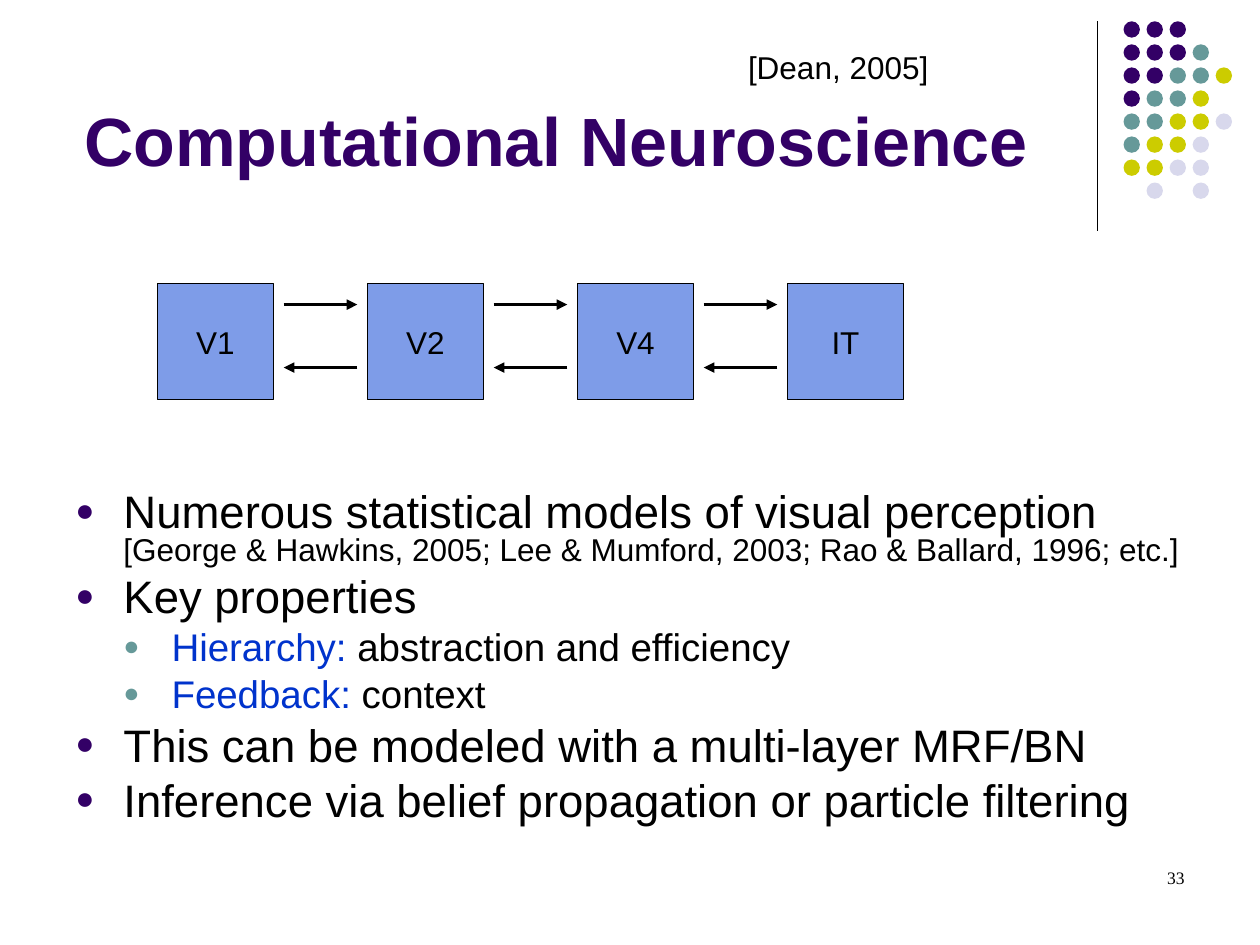
from lxml import etree
from pptx import Presentation
from pptx.dml.color import RGBColor
from pptx.enum.shapes import MSO_CONNECTOR, MSO_SHAPE
from pptx.enum.text import MSO_ANCHOR, PP_ALIGN
from pptx.oxml.ns import qn
from pptx.util import Cm, Pt

# Content
TITLE = "Computational Neuroscience"
CITATION = "[Dean, 2005]"
PAGE_NUMBER = "33"
AREAS = ["V1", "V2", "V4", "IT"]
BLACK, PURPLE, TEAL, BLUE = "000000", "330066", "669999", "0033CC"

# Each bullet: level, space before, spans of (text, size, colour)
BULLETS = [
    (0, 0, [("Numerous statistical models of visual perception ", 26, BLACK),
            ("[George & Hawkins, 2005; Lee & Mumford, 2003; "
             "Rao & Ballard, 1996; etc.]", 18, BLACK)]),
    (0, 6.5, [("Key properties", 26, BLACK)]),
    (1, 5.5, [("Hierarchy:", 22, BLUE), (" abstraction and efficiency", 22, BLACK)]),
    (1, 5.5, [("Feedback:", 22, BLUE), (" context", 22, BLACK)]),
    (0, 6.5, [("This can be modeled with a multi-layer MRF/BN", 26, BLACK)]),
    (0, 6.5, [("Inference via belief propagation or particle filtering", 26, BLACK)]),
]
BULLET_COLORS = [PURPLE, TEAL]

# Corner dots, one letter per dot
DOT_COLORS = {"P": PURPLE, "T": TEAL, "Y": "CCCC00", "L": "D8D8EC"}
DOT_ROWS = ["PPP", "PPPT", "PPTTY", "PTTY", "TTYYL", "TYYL", "YYLL", " L L"]

# Layout in centimetres
DOT_LEFT, DOT_TOP, DOT_SIZE, DOT_STEP = 22.65, 0.43, 0.33, 3.25 / 7
AREA_LEFT, AREA_TOP, AREA_SIZE, AREA_STEP = 3.18, 5.72, 2.33, 12.7 / 3
ARROW_GAP, FORWARD_Y, BACK_Y = 0.21, 6.14, 7.41
INDENT = 0.97


def color(value):
    return RGBColor.from_string(value)


def add_span(para, text, size=18, fill=BLACK, font="Arial", bold=False):
    span = para.add_run()
    span.text = text
    span.font.size = Pt(size)
    span.font.name = font
    span.font.bold = bold
    span.font.color.rgb = color(fill)


def add_text(page, text, left, top, width, height, anchor=MSO_ANCHOR.TOP,
             align=PP_ALIGN.LEFT, wrap=True, **style):
    box = page.shapes.add_textbox(Cm(left), Cm(top), Cm(width), Cm(height))
    frame = box.text_frame
    frame.word_wrap = wrap
    frame.vertical_anchor = anchor
    para = frame.paragraphs[0]
    para.alignment = align
    if text:
        add_span(para, text, **style)
    return box


def add_figure(page, kind, left, top, size, fill, outline=None):
    shape = page.shapes.add_shape(kind, Cm(left), Cm(top), Cm(size), Cm(size))
    shape.shadow.inherit = False
    shape.fill.solid()
    shape.fill.fore_color.rgb = color(fill)
    if outline:
        shape.line.color.rgb = color(outline)
        shape.line.width = Pt(0.75)
    else:
        shape.line.fill.background()
    return shape


def add_line(page, x1, y1, x2, y2, width, arrow=False):
    line = page.shapes.add_connector(
        MSO_CONNECTOR.STRAIGHT, Cm(x1), Cm(y1), Cm(x2), Cm(y2))
    line.line.color.rgb = color(BLACK)
    line.line.width = Pt(width)
    if arrow:
        etree.SubElement(line.line._get_or_add_ln(), qn("a:tailEnd"), type="triangle")
    etree.SubElement(line._element.spPr, qn("a:effectLst"))


def set_bullet(para, level):
    props = para._p.get_or_add_pPr()
    props.set("marL", str(Cm(INDENT * (level + 1))))
    props.set("indent", str(-Cm(INDENT)))
    tint = etree.SubElement(props, qn("a:buClr"))
    etree.SubElement(tint, qn("a:srgbClr"), val=BULLET_COLORS[level])
    etree.SubElement(props, qn("a:buSzPct"), val="70000")
    etree.SubElement(props, qn("a:buFont"), typeface="Arial")
    etree.SubElement(props, qn("a:buChar"), char="●")


deck = Presentation()
deck.slide_width, deck.slide_height = Cm(25.4), Cm(19.05)
page = deck.slides.add_slide(deck.slide_layouts[6])

# Corner ornament
add_line(page, 22.12, 0.43, 22.12, 4.65, 0.75)
for row, letters in enumerate(DOT_ROWS):
    for column, letter in enumerate(letters):
        if letter in DOT_COLORS:
            add_figure(page, MSO_SHAPE.OVAL, DOT_LEFT + column * DOT_STEP,
                       DOT_TOP + row * DOT_STEP, DOT_SIZE, DOT_COLORS[letter])

# Title
add_text(page, TITLE, 1.45, 0.51, 20.6, 3.25, anchor=MSO_ANCHOR.BOTTOM,
         size=39, fill=PURPLE, bold=True)

# Bullets
body = add_text(page, "", 1.27, 9.83, 22.86, 7.29).text_frame
for index, (level, space, spans) in enumerate(BULLETS):
    para = body.add_paragraph() if index else body.paragraphs[0]
    para.level = level
    para.line_spacing = 0.8
    para.space_before = Pt(space)
    set_bullet(para, level)
    for text, size, fill in spans:
        add_span(para, text, size=size, fill=fill)

# Visual areas, with an arrow each way between neighbours
for index, name in enumerate(AREAS):
    left = AREA_LEFT + index * AREA_STEP
    area = add_figure(page, MSO_SHAPE.RECTANGLE, left, AREA_TOP, AREA_SIZE,
                      "7E9CE8", outline=BLACK)
    area.text_frame.word_wrap = False
    area.text_frame.vertical_anchor = MSO_ANCHOR.MIDDLE
    para = area.text_frame.paragraphs[0]
    para.alignment = PP_ALIGN.CENTER
    add_span(para, name)
    if index < len(AREAS) - 1:
        start = left + AREA_SIZE + ARROW_GAP
        end = left + AREA_STEP - ARROW_GAP
        add_line(page, start, FORWARD_Y, end, FORWARD_Y, 2, arrow=True)
        add_line(page, end, BACK_Y, start, BACK_Y, 2, arrow=True)

# Citation and page number
add_text(page, CITATION, 14.83, 0.84, 4.14, 1.02, wrap=False)
add_text(page, PAGE_NUMBER, 18.21, 17.35, 5.92, 1.27, align=PP_ALIGN.RIGHT,
         size=10, font="Times New Roman")

deck.save("out.pptx")
